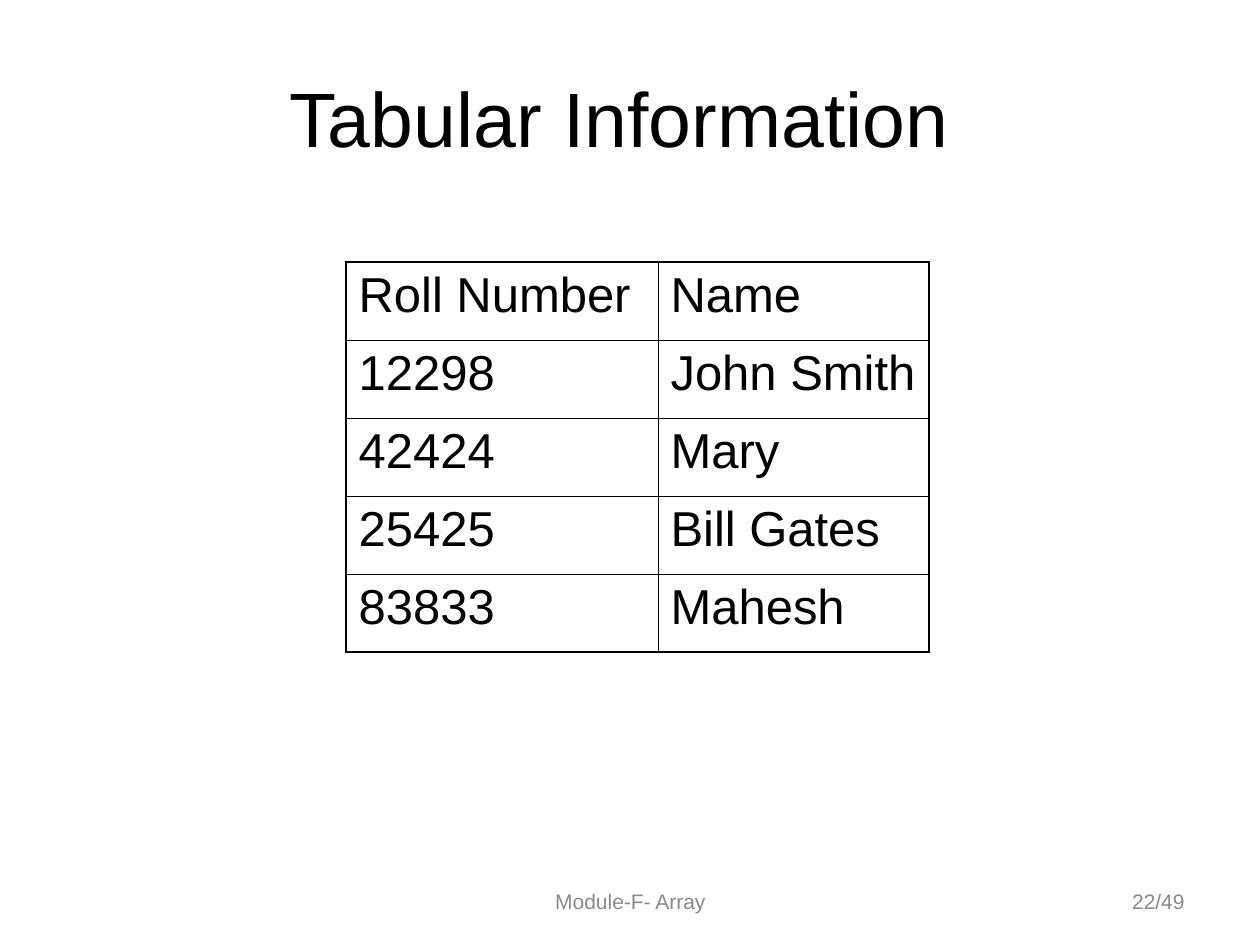
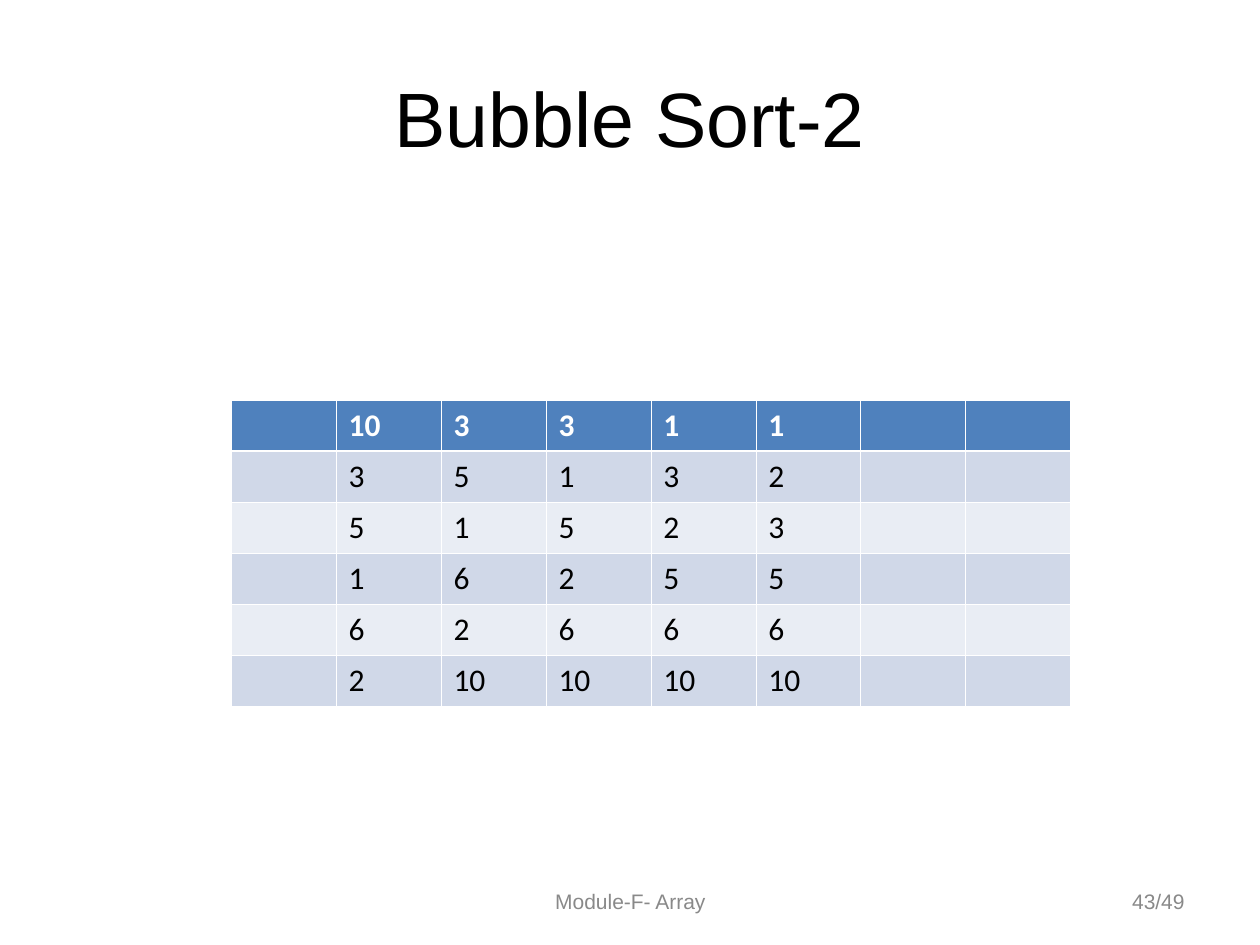
from pptx import Presentation
from pptx.dml.color import RGBColor
from pptx.enum.text import MSO_ANCHOR, PP_ALIGN
from pptx.oxml.ns import qn
from pptx.util import Emu, Pt
from lxml.etree import SubElement

PX = 914400 // 126
COLORS = {
    "ink": "000000",
    "paper": "FFFFFF",
    "footer": "898989",
    "header": "4F81BD",
    "band": "D0D8E8",
    "light": "E9EDF4",
}
THIN = 0.45


def px(n):
    return Emu(n * PX)


def rgb(name):
    return RGBColor.from_string(COLORS[name])


def write(tf, text, size=18, font="Arial", color="ink", bold=False,
          align=PP_ALIGN.LEFT, before=0):
    """Put one formatted paragraph into a text frame."""
    p = tf.paragraphs[0]
    p.alignment = align
    p.space_before = Pt(before)
    r = p.add_run()
    r.text = text
    r.font.size = Pt(size)
    r.font.name = font
    r.font.bold = bold
    r.font.color.rgb = rgb(color)


def add_label(s, box, text, **fmt):
    tf = s.shapes.add_textbox(*map(px, box)).text_frame
    tf.word_wrap = True
    tf.vertical_anchor = MSO_ANCHOR.MIDDLE
    write(tf, text, **fmt)


def add_page(prs, title, number):
    """Blank slide with the shared title and footer."""
    s = prs.slides.add_slide(prs.slide_layouts[6])
    add_label(s, (63, 38, 1134, 157), title, size=44, align=PP_ALIGN.CENTER)
    add_label(s, (431, 876, 399, 50), "Module-F- Array", size=12,
              color="footer", align=PP_ALIGN.CENTER)
    add_label(s, (903, 876, 294, 50), f"{number}/49", size=12,
              color="footer", align=PP_ALIGN.RIGHT)
    return s


def set_borders(cell, color, left=THIN, right=THIN, top=THIN, bottom=THIN):
    tc_pr = cell._tc.get_or_add_tcPr()
    for side, width in zip("LRTB", (left, right, top, bottom)):
        ln = SubElement(tc_pr, qn(f"a:ln{side}"), w=str(Pt(width)))
        fill = SubElement(ln, qn("a:solidFill"))
        SubElement(fill, qn("a:srgbClr"), val=COLORS[color])


def add_grid(s, left, top, widths, row_height, rows):
    """Plain table; returns its cells with their row, column and text."""
    frame = s.shapes.add_table(len(rows), len(widths), px(left), px(top),
                               px(sum(widths)), px(row_height * len(rows)))
    table = frame.table
    table.first_row = table.horz_banding = False
    for col, width in zip(table.columns, widths):
        col.width = px(width)
    for row in table.rows:
        row.height = px(row_height)
    return [(table.cell(i, j), i, j, text)
            for i, row in enumerate(rows) for j, text in enumerate(row)]


def add_roll_table(s):
    rows = [("Roll Number", "Name"), ("12298", "John Smith"),
            ("42424", "Mary"), ("25425", "Bill Gates"), ("83833", "Mahesh")]
    frame, last = 1.08, len(rows) - 1
    for cell, i, j, text in add_grid(s, 346, 262, (312, 271), 78, rows):
        # Heavier line around the outside
        set_borders(cell, "ink",
                    left=frame if j == 0 else THIN,
                    right=frame if j == 1 else THIN,
                    top=frame if i == 0 else THIN,
                    bottom=frame if i == last else THIN)
        cell.fill.background()
        write(cell.text_frame, text, size=28, before=7)


def add_sort_table(s):
    # Each pass is one column, between empty outer columns
    passes = [(10, 3, 5, 1, 6, 2), (3, 5, 1, 6, 2, 10), (3, 1, 5, 2, 6, 10),
              (1, 3, 2, 5, 6, 10), (1, 2, 3, 5, 6, 10)]
    rows = [("", *map(str, values), "", "") for values in zip(*passes)]
    rule = 1.47
    for cell, i, j, text in add_grid(s, 231, 400, [105] * 8, 51, rows):
        set_borders(cell, "paper",
                    top=rule if i == 1 else THIN,
                    bottom=rule if i == 0 else THIN)
        cell.fill.solid()
        cell.fill.fore_color.rgb = rgb(
            "header" if i == 0 else "band" if i % 2 else "light")
        if text:
            write(cell.text_frame, text, font="Calibri", bold=i == 0,
                  color="paper" if i == 0 else "ink")


def main():
    prs = Presentation()
    prs.slide_width, prs.slide_height = px(1260), px(945)

    # The trailing space is part of the centred title
    add_roll_table(add_page(prs, "Tabular Information ", 22))
    add_sort_table(add_page(prs, "Bubble Sort-2", 43))

    prs.save("out.pptx")


main()
